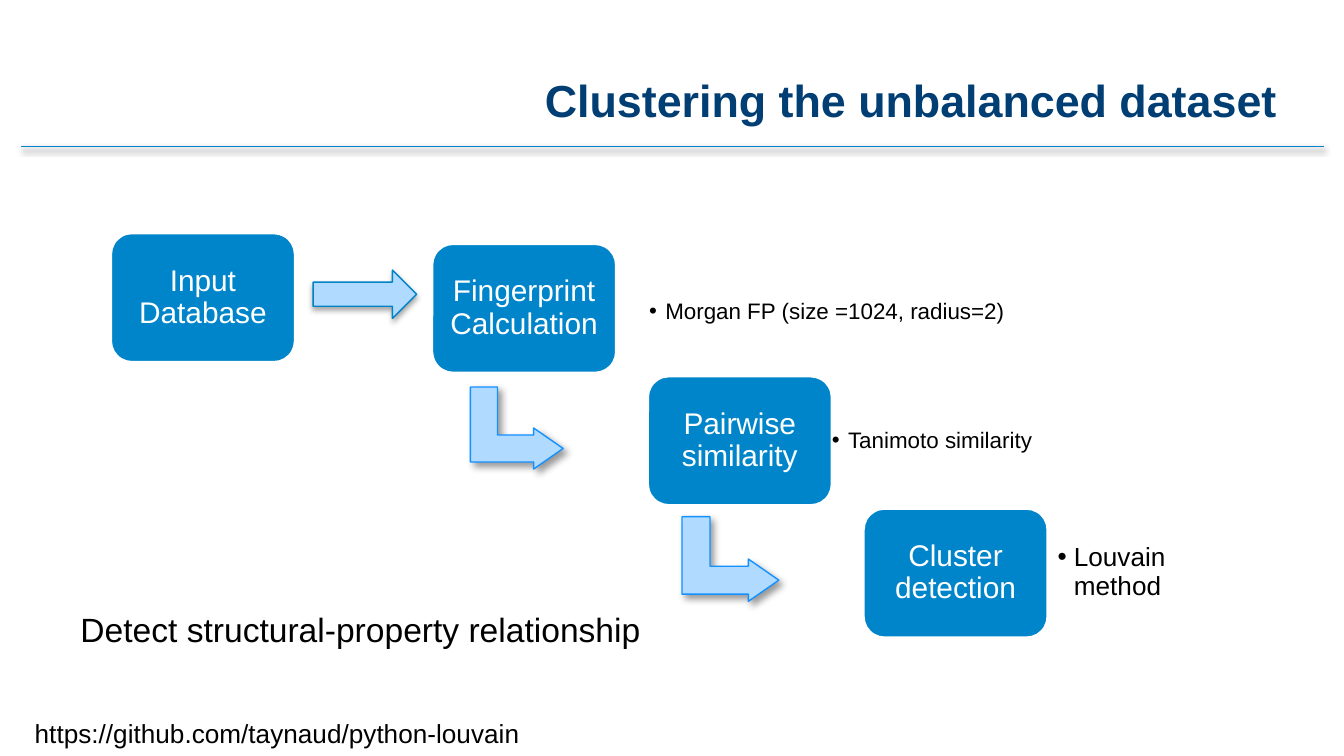
from typing import NamedTuple, Optional

from lxml.etree import SubElement
from pptx import Presentation
from pptx.dml.color import RGBColor
from pptx.enum.shapes import MSO_CONNECTOR as Connector, MSO_SHAPE as Preset
from pptx.enum.text import MSO_ANCHOR as Anchor, MSO_AUTO_SIZE as AutoSize, PP_ALIGN as Align
from pptx.oxml.ns import qn
from pptx.util import Inches, Pt

NAVY = RGBColor(0x00, 0x3E, 0x74)
BLUE = RGBColor(0x00, 0x85, 0xCA)
ARROW_BLUE = RGBColor(0x00, 0x82, 0xC6)
BRIGHT_BLUE = RGBColor(0x13, 0x91, 0xFF)
PALE_BLUE = RGBColor(0xB0, 0xDA, 0xFF)
WHITE = RGBColor(0xFF, 0xFF, 0xFF)
BLACK = RGBColor(0x00, 0x00, 0x00)

# The slide is a grid of square cells.
CELL = Inches(0.1)
SLIDE_COLUMNS, SLIDE_ROWS = 100, 56.25
FONT = "Arial"
BULLET_INDENT = Inches(0.12)


class Area(NamedTuple):
    column: float
    row: float
    columns: float
    rows: float

    def lengths(self) -> list:
        return [round(value * CELL) for value in self]


class Shadow(NamedTuple):
    opacity: int
    blur: float
    distance: float
    angle: int


class Step(NamedTuple):
    label: str
    column: float
    row: float


class Note(NamedTuple):
    text: str
    area: Area
    size: int


class Arrow(NamedTuple):
    preset: Preset
    area: Area
    rotation: int
    line: RGBColor
    shadow: Shadow
    adjustments: tuple = ()


BOX_COLUMNS, BOX_ROWS = 13.8, 9.7
STAIR_LABELS = ["Fingerprint Calculation", "Pairwise similarity", "Cluster detection"]
STEPS = [Step("Input Database", 8.2, 17.3)] + [
    Step(label, 32.1 + 16.05 * index, 18.1 + 9.85 * index)
    for index, label in enumerate(STAIR_LABELS)
]
NOTES = [
    Note("Morgan FP (size =1024, radius=2)", Area(47.6, 19.3, 29.1, 7.8), 12),
    Note("Tanimoto similarity", Area(61.2, 28.9, 26.9, 7.8), 12),
    Note("Louvain method", Area(78, 38.7, 10, 7.8), 14),
]
RULE_SHADOW = Shadow(38, 3.1, 1.6, 90)
FLAT_SHADOW = Shadow(35, 3.1, 1.8, 90)
ELBOW_SHADOW = Shadow(40, 4, 3, 45)
ELBOW_SHAPE = (0.33, 0.25, 0.36)
ARROWS = [
    Arrow(Preset.RIGHT_ARROW, Area(23.3, 20.1, 7.7, 3.6), 0, ARROW_BLUE, FLAT_SHADOW),
    Arrow(Preset.BENT_UP_ARROW, Area(35.4, 28.4, 6.1, 6.9), 90, BRIGHT_BLUE,
          ELBOW_SHADOW, ELBOW_SHAPE),
    Arrow(Preset.BENT_UP_ARROW, Area(51.2, 38, 6.3, 7.2), 90, BRIGHT_BLUE,
          ELBOW_SHADOW, ELBOW_SHAPE),
]


def cast_shadow(shape, shadow: Shadow) -> None:
    properties = shape._element.spPr
    effects = SubElement(properties, qn("a:effectLst"))
    outer = SubElement(
        effects, qn("a:outerShdw"), blurRad=str(Pt(shadow.blur)),
        dist=str(Pt(shadow.distance)), dir=str(shadow.angle * 60000), rotWithShape="0")
    color = SubElement(outer, qn("a:srgbClr"), val="000000")
    SubElement(color, qn("a:alpha"), val=str(shadow.opacity * 1000))


def write_text(shape, text: str, *, size: int, color: RGBColor = BLACK, bold: bool = False,
               align: Align = Align.LEFT, anchor: Anchor = Anchor.TOP, wrap: bool = True,
               insets: Optional[tuple] = None, line_spacing: Optional[float] = None,
               bullet: bool = False) -> None:
    """Fill a shape with one paragraph; insets are left, top, right, bottom in inches."""
    frame = shape.text_frame
    frame.word_wrap = wrap
    frame.auto_size = AutoSize.NONE if wrap else AutoSize.SHAPE_TO_FIT_TEXT
    frame.vertical_anchor = anchor
    if insets is not None:
        (frame.margin_left, frame.margin_top,
         frame.margin_right, frame.margin_bottom) = map(Inches, insets)
    paragraph = frame.paragraphs[0]
    paragraph.text = text
    paragraph.alignment = align
    if bullet:
        properties = paragraph._p.get_or_add_pPr()
        properties.set("marL", str(BULLET_INDENT))
        properties.set("indent", str(-BULLET_INDENT))
        SubElement(properties, qn("a:buFont"), typeface=FONT)
        SubElement(properties, qn("a:buChar"), char="•")
    if line_spacing is not None:
        paragraph.line_spacing = line_spacing
    font = paragraph.runs[0].font
    font.name, font.size, font.bold = FONT, Pt(size), bold
    font.color.rgb = color


def add_text(slide, area: Area, text: str, **text_format) -> None:
    write_text(slide.shapes.add_textbox(*area.lengths()), text, **text_format)


def add_filled_shape(slide, preset: Preset, area: Area, fill: RGBColor,
                     line: RGBColor, line_width: float):
    shape = slide.shapes.add_shape(preset, *area.lengths())
    shape.shadow.inherit = False
    shape.fill.solid()
    shape.fill.fore_color.rgb = fill
    shape.line.color.rgb = line
    shape.line.width = Pt(line_width)
    return shape


def add_step(slide, step: Step) -> None:
    area = Area(step.column, step.row, BOX_COLUMNS, BOX_ROWS)
    box = add_filled_shape(slide, Preset.ROUNDED_RECTANGLE, area, BLUE, WHITE, 2)
    write_text(box, step.label, size=16, color=WHITE, align=Align.CENTER,
               anchor=Anchor.MIDDLE, insets=(0.07,) * 4, line_spacing=0.9)


def add_arrow(slide, arrow: Arrow) -> None:
    shape = add_filled_shape(slide, arrow.preset, arrow.area, PALE_BLUE, arrow.line, 0.75)
    shape.rotation = arrow.rotation
    for index, value in enumerate(arrow.adjustments):
        shape.adjustments[index] = value
    shape._element.spPr.remove(shape._element.spPr.find(qn("a:effectLst")))
    cast_shadow(shape, arrow.shadow)


def add_title_rule(slide) -> None:
    start, row, end = (round(value * CELL) for value in (1.6, 10.9, 98.5))
    rule = slide.shapes.add_connector(Connector.STRAIGHT, start, row, end, row)
    rule.line.color.rgb = BLUE
    rule.line.width = Pt(1)
    cast_shadow(rule, RULE_SHADOW)


def main() -> None:
    presentation = Presentation()
    presentation.slide_width = SLIDE_COLUMNS * CELL
    presentation.slide_height = round(SLIDE_ROWS * CELL)
    slide = presentation.slides.add_slide(presentation.slide_layouts[6])

    add_text(slide, Area(10, 5.4, 85, 2.6), "Clustering the unbalanced dataset", size=24,
             color=NAVY, bold=True, align=Align.RIGHT, insets=(0,) * 4)
    add_title_rule(slide)
    for arrow in ARROWS:
        add_arrow(slide, arrow)
    for step in STEPS:
        add_step(slide, step)
    for note in NOTES:
        add_text(slide, note.area, note.text, size=note.size, anchor=Anchor.MIDDLE,
                 insets=(0.07,) * 4, line_spacing=0.9, bullet=True)
    add_text(slide, Area(5, 44.8, 44.1, 4), "Detect structural-property relationship",
             size=18, wrap=False)
    add_text(slide, Area(1.6, 52.9, 38.2, 3.4), "https://github.com/taynaud/python-louvain",
             size=14, wrap=False)
    presentation.save("out.pptx")


if __name__ == "__main__":
    main()
